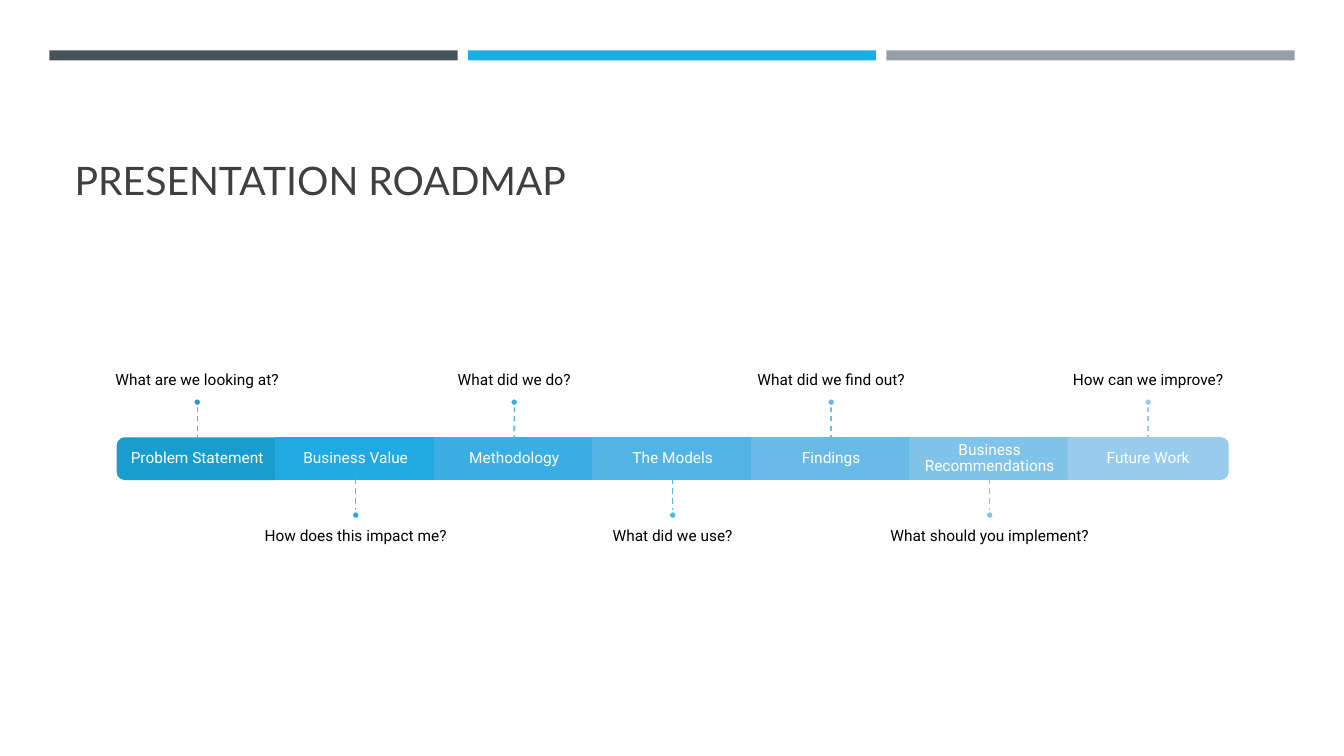
from pptx import Presentation
from pptx.dml.color import RGBColor
from pptx.enum.dml import MSO_LINE
from pptx.enum.shapes import MSO_CONNECTOR, MSO_SHAPE
from pptx.enum.text import MSO_ANCHOR, PP_ALIGN
from pptx.oxml.ns import qn
from pptx.util import Inches, Pt

RECT, ROUND_TOP, OVAL = MSO_SHAPE.RECTANGLE, MSO_SHAPE.ROUND_2_SAME_RECTANGLE, MSO_SHAPE.OVAL
STRAIGHT, DASH = MSO_CONNECTOR.STRAIGHT, MSO_LINE.DASH
TOP, MIDDLE, BOTTOM = MSO_ANCHOR.TOP, MSO_ANCHOR.MIDDLE, MSO_ANCHOR.BOTTOM
LEFT, CENTER = PP_ALIGN.LEFT, PP_ALIGN.CENTER
SIDE_TOP, SIDE_BOTTOM = 0, 2

WHITE = RGBColor(0xFF, 0xFF, 0xFF)
BLACK = RGBColor(0x00, 0x00, 0x00)
TITLE_GREY = RGBColor(0x40, 0x40, 0x40)
BANNER_COLORS = [RGBColor(0x46, 0x53, 0x59), RGBColor(0x1C, 0xAD, 0xE4), RGBColor(0x96, 0x9F, 0xA7)]

# Content: stage, question, stage colour, stem colour
TITLE = "PRESENTATION ROADMAP"
STAGES = [
    ("Problem Statement", "What are we looking at?", RGBColor(0x19, 0x9D, 0xCF), RGBColor(0x36, 0xB3, 0xE9)),
    ("Business Value", "How does this impact me?", RGBColor(0x21, 0xA9, 0xE2), RGBColor(0x48, 0xB8, 0xEC)),
    ("Methodology", "What did we do?", RGBColor(0x3A, 0xAD, 0xE3), RGBColor(0x5A, 0xBE, 0xEF)),
    ("The Models", "What did we use?", RGBColor(0x52, 0xB3, 0xE5), RGBColor(0x57, 0xB5, 0xE6)),
    ("Findings", "What did we find out?", RGBColor(0x6A, 0xBA, 0xE7), RGBColor(0x6D, 0xBC, 0xE8)),
    ("Business Recommendations", "What should you implement?", RGBColor(0x81, 0xC2, 0xE9), RGBColor(0x82, 0xC3, 0xEA)),
    ("Future Work", "How can we improve?", RGBColor(0x99, 0xCB, 0xEC), RGBColor(0x98, 0xCB, 0xEC)),
]

# Geometry in inches
BANNER_LEFT, BANNER_TOP, BANNER_W, BANNER_H, BANNER_PITCH = 0.49, 0.5, 4.05, 0.1, 4.15
ROAD_LEFT, ROAD_TOP, ROAD_H = 1.17, 4.35, 0.4
STAGE_W = 1.572
ROAD_BOTTOM = ROAD_TOP + ROAD_H
STEM_H, DOT = 0.32, 0.08
QUESTION_W, QUESTION_H = 2.62, 1.39
INSET = 0.09

prs = Presentation()
prs.slide_width, prs.slide_height = Inches(13.33), Inches(7.5)
slide = prs.slides.add_slide(prs.slide_layouts[5])
shapes = slide.shapes


def add_filled(kind, left, top, width, height, fill, line=None):
    shape = shapes.add_shape(kind, Inches(left), Inches(top), Inches(width), Inches(height))
    shape.shadow.inherit = False
    shape.fill.solid()
    shape.fill.fore_color.rgb = fill
    if line is None:
        shape.line.fill.background()
    else:
        shape.line.color.rgb = line
        shape.line.width = Pt(1.75)
    return shape


def add_text_area(left, top, width, height):
    return shapes.add_textbox(Inches(left), Inches(top), Inches(width), Inches(height)).text_frame


def write(frame, text, color, anchor, insets):
    frame.word_wrap = True
    frame.vertical_anchor = anchor
    frame.margin_left, frame.margin_top, frame.margin_right, frame.margin_bottom = map(Inches, insets)
    paragraph = frame.paragraphs[0]
    paragraph.text = text
    paragraph.alignment = CENTER
    paragraph.line_spacing = 0.9
    paragraph.space_after = Pt(4)
    paragraph.font.name, paragraph.font.size = "Roboto", Pt(11)
    paragraph.font.color.rgb = color


# Banner across the top
for i, color in enumerate(BANNER_COLORS):
    add_filled(RECT, BANNER_LEFT + i * BANNER_PITCH, BANNER_TOP, BANNER_W, BANNER_H, color)

# Title
title = shapes.title
title.left, title.top, title.width, title.height = Inches(0.64), Inches(0.77), Inches(12.06), Inches(1.3)
title.text_frame.vertical_anchor = BOTTOM
heading = title.text_frame.paragraphs[0]
heading.text = TITLE
heading.alignment = LEFT
heading.font.name, heading.font.size = "Lato", Pt(28)
heading.font.color.rgb = TITLE_GREY

# Roadmap: questions alternate above and below the road
for i, (stage, question, color, stem_color) in enumerate(STAGES):
    left = ROAD_LEFT + i * STAGE_W
    center = left + STAGE_W / 2
    above = i % 2 == 0
    is_end = i in (0, len(STAGES) - 1)

    # Stage block; the two ends are turned so their round corners face outwards
    if is_end:
        block = add_filled(ROUND_TOP, center - ROAD_H / 2, ROAD_TOP + (ROAD_H - STAGE_W) / 2,
                           ROAD_H, STAGE_W, color, color)
        block.rotation = 270 if i == 0 else 90
        label = add_text_area(left, ROAD_TOP, STAGE_W, ROAD_H)
    else:
        block = add_filled(RECT, left, ROAD_TOP, STAGE_W, ROAD_H, color, color)
        label = block.text_frame
    write(label, stage, WHITE, MIDDLE, [INSET] * 4)

    # Question
    question_top = ROAD_TOP - STEM_H - DOT - QUESTION_H if above else ROAD_BOTTOM + STEM_H + DOT
    question_area = add_text_area(center - QUESTION_W / 2, question_top, QUESTION_W, QUESTION_H)
    if above:
        write(question_area, question, BLACK, BOTTOM, [0, 0, 0, INSET])
    else:
        write(question_area, question, BLACK, TOP, [0, INSET, 0, 0])

    # Dashed stem
    stem_top = ROAD_TOP - STEM_H if above else ROAD_BOTTOM
    stem = shapes.add_connector(STRAIGHT, Inches(center), Inches(stem_top),
                                Inches(center), Inches(stem_top + STEM_H))
    stem.line.color.rgb = stem_color
    stem.line.width = Pt(1)
    stem.line.dash_style = DASH
    properties = stem.element.spPr
    properties.append(properties.makeelement(qn("a:effectLst"), {}))
    if not is_end:
        if above:
            stem.end_connect(block, SIDE_TOP)
        else:
            stem.begin_connect(block, SIDE_BOTTOM)

    # Dot at the far end of the stem
    dot_top = stem_top - DOT if above else stem_top + STEM_H
    add_filled(OVAL, center - DOT / 2, dot_top, DOT, DOT, color, WHITE)

prs.save("out.pptx")
